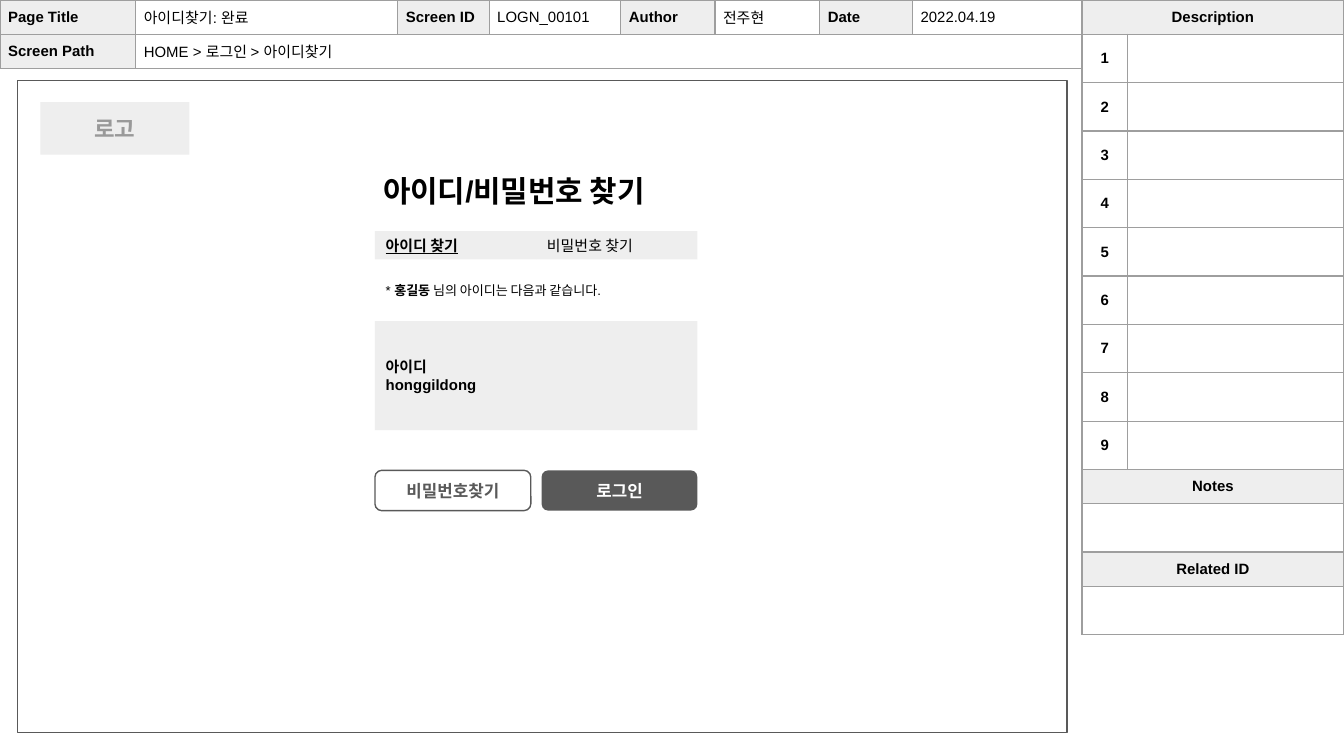
from pptx import Presentation
from pptx.dml.color import RGBColor
from pptx.enum.shapes import MSO_SHAPE
from pptx.enum.text import MSO_ANCHOR, MSO_AUTO_SIZE, PP_ALIGN
from pptx.oxml import parse_xml
from pptx.oxml.ns import nsdecls
from pptx.util import Inches, Pt

WIDE = 10
HIGH = WIDE * 9 / 16
PALE, DARK, RULE, WHITE = "EEEEEE", "595959", "9E9E9E", "FFFFFF"

META = [
    ["Page Title", "아이디찾기: 완료", "Screen ID", "LOGN_00101",
     "Author", "전주현", "Date", "2022.04.19"],
    ["Screen Path", "HOME > 로그인 > 아이디찾기"] + [""] * 6,
]
META_COLS = [1.01, 1.95, 0.68, 0.98, 0.7, 0.78, 0.69, 1.26]
NOTES = [["Description", ""]] + [[str(n), ""] for n in range(1, 10)] + [
    ["Notes", ""], ["", ""], ["Related ID", ""], ["", ""]]
NOTE_COLS = [0.34, 1.61]
HEADS = ("Description", "Notes", "Related ID")

TITLE = "아이디/비밀번호 찾기"
TABS = [("아이디 찾기", True), ("비밀번호 찾기", False)]
HINT = [("* ", False), ("홍길동 ", True), ("님의 아이디는 다음과 같습니다.", False)]
RESULT = [("아이디", True), ("\n", True), ("honggildong", True)]
BUTTONS = [("비밀번호찾기", WHITE, DARK), ("로그인", DARK, WHITE)]

LEFT, FORM, GAP = 2.79, 2.4, 0.08
SHORT, TALL = 0.51 / 2, 0.36


def rgb(code):
    return RGBColor.from_string(code)


def write(para, text, size=8, color="000000", bold=False, line=False,
          align=PP_ALIGN.LEFT):
    """Write text, or (text, bold) runs, into a paragraph."""
    para.alignment = align
    for part, heavy in ([(text, bold)] if isinstance(text, str) else text):
        if part == "\n":
            para.add_line_break()
            continue
        run = para.add_run()
        run.text = part
        font = run.font
        font.name, font.size, font.bold = "Arial", Pt(size), heavy
        font.underline = line
        font.color.rgb = rgb(color)


def put(frame, text, pad=(0.08, 0.04), **form):
    frame.word_wrap = True
    frame.auto_size = MSO_AUTO_SIZE.NONE
    frame.vertical_anchor = MSO_ANCHOR.MIDDLE
    frame.margin_left = frame.margin_right = Inches(pad[0])
    frame.margin_top = frame.margin_bottom = Inches(pad[1])
    write(frame.paragraphs[0], text, **form)


def box(slide, area, fill, edge=None, kind=MSO_SHAPE.RECTANGLE):
    shape = slide.shapes.add_shape(kind, *map(Inches, area))
    shape.shadow.inherit = False
    shape.fill.solid()
    shape.fill.fore_color.rgb = rgb(fill)
    if edge:
        shape.line.color.rgb = rgb(edge)
        shape.line.width = Pt(0.75)
    else:
        shape.line.fill.background()
    return shape


def border(cell):
    props = cell._tc.get_or_add_tcPr()
    for at, side in enumerate(("lnL", "lnR", "lnT", "lnB")):
        props.insert(at, parse_xml(
            f'<a:{side} {nsdecls("a")} w="9525"><a:solidFill>'
            f'<a:srgbClr val="{RULE}"/></a:solidFill></a:{side}>'))


def grid(slide, left, cols, rows, data, style):
    """Add a ruled table; style gives (filled, bold, align) for a cell."""
    table = slide.shapes.add_table(
        len(rows), len(cols), Inches(left), 0,
        Inches(sum(cols)), Inches(sum(rows))).table
    table.first_row = table.horz_banding = False
    for col, size in zip(table.columns, cols):
        col.width = Inches(size)
    for row, size in zip(table.rows, rows):
        row.height = Inches(size)
    for r, line in enumerate(data):
        for c, text in enumerate(line):
            cell = table.cell(r, c)
            cell.margin_left = cell.margin_right = Inches(0.06)
            cell.margin_top = cell.margin_bottom = Inches(0.04 if text else 0.02)
            cell.vertical_anchor = MSO_ANCHOR.MIDDLE
            filled, bold, align = style(c, text)
            cell.fill.solid()
            cell.fill.fore_color.rgb = rgb(PALE if filled else WHITE)
            border(cell)
            if text:
                write(cell.text_frame.paragraphs[0], text, bold=bold, align=align)
    return table


def meta_style(col, text):
    label = col % 2 == 0 and text != ""
    return label, label, PP_ALIGN.LEFT


def note_style(col, text):
    return text in HEADS, True, PP_ALIGN.CENTER


def main():
    deck = Presentation()
    deck.slide_width, deck.slide_height = Inches(WIDE), Inches(HIGH)
    slide = deck.slides.add_slide(deck.slide_layouts[5])

    frame = box(slide, (0.13, 0.6, 7.81, 4.85), WHITE, DARK)
    title = slide.shapes.title
    title.left, title.top, title.width, title.height = map(
        Inches, (2.75, 1.24, 2.44, 0.35))
    put(title.text_frame, TITLE, size=16, bold=True, pad=(0.1, 0.04))
    frame.element.addnext(title.element)

    rows = [SHORT if line[0] in HEADS else TALL for line in NOTES]
    notes = grid(slide, sum(META_COLS), NOTE_COLS, rows, NOTES, note_style)
    for r, line in enumerate(NOTES):
        if not line[0].isdigit():
            notes.cell(r, 0).merge(notes.cell(r, 1))
    meta = grid(slide, 0, META_COLS, [SHORT] * 2, META, meta_style)
    meta.cell(1, 1).merge(meta.cell(1, 7))

    logo = box(slide, (0.3, 0.76, 1.11, 0.39), PALE)
    put(logo.text_frame, "로고", size=12, color="999999", bold=True,
        align=PP_ALIGN.CENTER, pad=(0.1, 0.1))

    half = FORM / 2
    for n, (text, on) in enumerate(TABS):
        tab = box(slide, (LEFT + n * half, 1.72, half, 0.21), PALE)
        put(tab.text_frame, text, bold=on, line=on)
    hint = slide.shapes.add_textbox(*map(Inches, (LEFT, 2.06, 2.44, 0.2)))
    put(hint.text_frame, HINT, size=7)
    card = box(slide, (LEFT, 2.39, FORM, 0.81), PALE)
    put(card.text_frame, RESULT)

    wide = (FORM - GAP) / 2
    for n, (text, fill, ink) in enumerate(BUTTONS):
        button = box(slide, (LEFT + n * (wide + GAP), 3.5, wide, 0.3), fill,
                     DARK if fill == WHITE else None, MSO_SHAPE.ROUNDED_RECTANGLE)
        put(button.text_frame, text, size=9, color=ink, bold=True,
            align=PP_ALIGN.CENTER, pad=(0.1, 0.1))

    deck.save("out.pptx")


if __name__ == "__main__":
    main()
